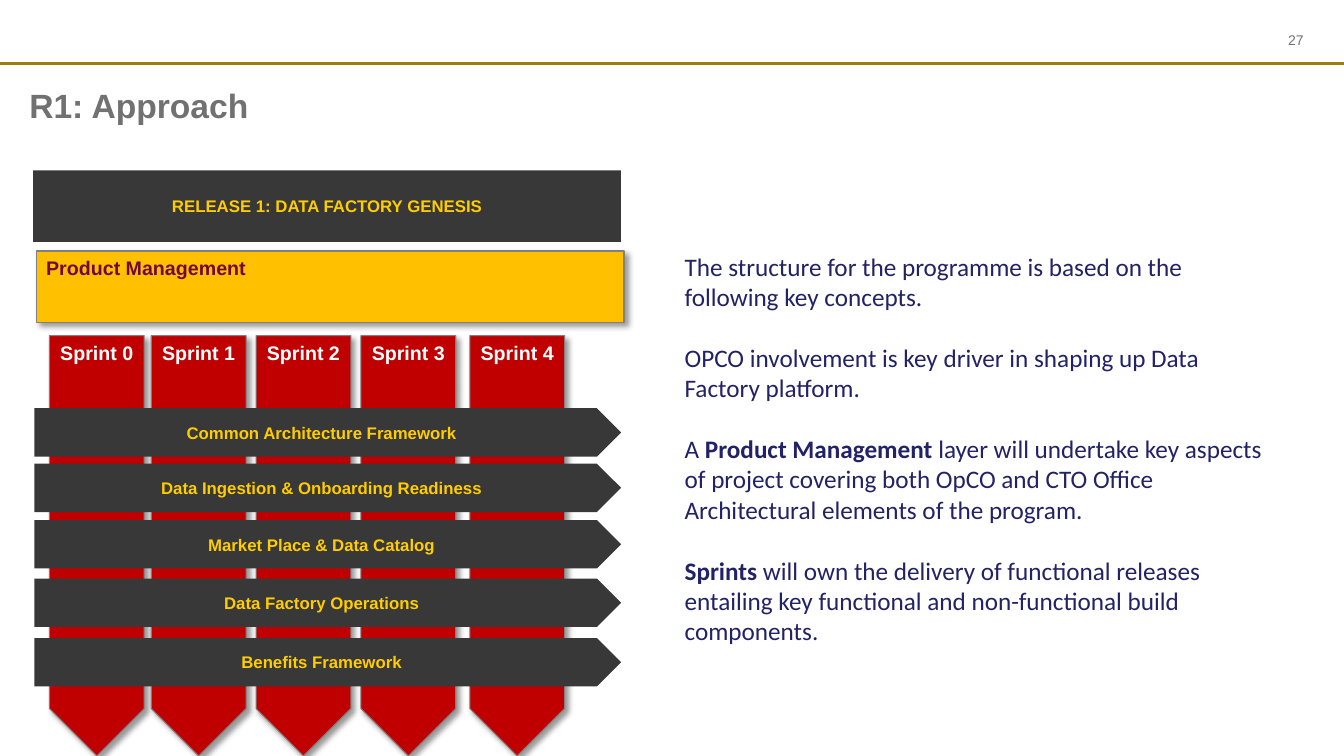
import pptx
import pptx.util
import pptx.oxml
import pptx.oxml.ns
import pptx.dml.color
import pptx.enum.shapes
import pptx.enum.text

Inches = pptx.util.Inches
Pt = pptx.util.Pt
Kind = pptx.enum.shapes.MSO_SHAPE
Align = pptx.enum.text.PP_ALIGN
Anchor = pptx.enum.text.MSO_ANCHOR

WIDE, HIGH = 13.33, 7.5
HUES = {"rule": "A17C0B", "grey": "717171", "dark": "383838", "gold": "FFCC00",
        "amber": "FFC000", "wine": "73073F", "red": "C00000", "edge": "808080",
        "white": "FFFFFF", "navy": "222267"}
SPRINTS = [("Sprint 0", 0.16), ("Sprint 1", 1.17), ("Sprint 2", 2.21),
           ("Sprint 3", 3.25), ("Sprint 4", 4.33)]
THEMES = [("Common Architecture Framework", 0),
          ("Data Ingestion & Onboarding Readiness", 0.55),
          ("Market Place & Data Catalog", 1.11),
          ("Data Factory Operations", 1.69),
          ("Benefits Framework", 2.28)]
NOTES = [
    [("The structure for the programme is based on the following key concepts.", False)],
    [("OPCO involvement is key driver in shaping up Data Factory platform.", False)],
    [("A ", False), ("Product Management ", True),
     ("layer will undertake key aspects of project covering both OpCO and CTO Office "
      "Architectural elements of the program.", False)],
    [("Sprints ", True),
     ("will own the delivery of functional releases entailing key functional and "
      "non-functional build components.", False)],
]
SHADE = ('<a:outerShdw %s blurRad="50800" dist="38100" dir="2700000" algn="tl" '
         'rotWithShape="0"><a:srgbClr val="000000"><a:alpha val="40000"/></a:srgbClr>'
         '</a:outerShdw>' % pptx.oxml.ns.nsdecls("a"))


def tint(name):
    return pptx.dml.color.RGBColor.from_string(HUES[name])


def style(run, size, hue, bold=False, face="Arial"):
    run.font.size = Pt(size)
    run.font.name = face
    run.font.bold = bold
    run.font.color.rgb = tint(hue)


def trim(frame):
    frame.word_wrap = True
    frame.margin_left = frame.margin_right = 0
    frame.margin_top = frame.margin_bottom = 0


def block(slide, kind, box, fill, text, size, hue, raised=False,
          align=Align.CENTER, anchor=Anchor.MIDDLE):
    shape = slide.shapes.add_shape(kind, *map(Inches, box))
    shape.fill.solid()
    shape.fill.fore_color.rgb = tint(fill)
    shape.shadow.inherit = False
    if raised:
        shape.line.color.rgb = tint("edge")
        shape.line.width = Pt(0.75)
        effects = shape._element.spPr.find(pptx.oxml.ns.qn("a:effectLst"))
        effects.append(pptx.oxml.parse_xml(SHADE))
    else:
        shape.line.fill.background()
    frame = shape.text_frame
    frame.word_wrap = True
    frame.vertical_anchor = anchor
    frame.text = text
    frame.paragraphs[0].alignment = align
    style(frame.paragraphs[0].runs[0], size, hue, True)
    return shape


def header(slide, box):
    left, top, width, height = box
    base = top + height
    rule = slide.shapes.add_connector(
        pptx.enum.shapes.MSO_CONNECTOR.STRAIGHT,
        Inches(left), Inches(base), Inches(left + width), Inches(base))
    rule.line.color.rgb = tint("rule")
    rule.line.width = Pt(1.5)
    rule._element.spPr.append(pptx.oxml.parse_xml(
        "<a:effectLst %s/>" % pptx.oxml.ns.nsdecls("a")))
    page = slide.shapes.add_textbox(
        Inches(left + width - 1.46), Inches(top + 0.29), Inches(1.06), Inches(0.22))
    frame = page.text_frame
    trim(frame)
    frame.vertical_anchor = Anchor.MIDDLE
    frame.text = "27"
    frame.paragraphs[0].alignment = Align.RIGHT
    style(frame.paragraphs[0].runs[0], 10, "grey")


def heading(slide, box):
    title = slide.shapes.title
    title.left, title.top, title.width, title.height = map(Inches, box)
    frame = title.text_frame
    trim(frame)
    frame.vertical_anchor = Anchor.TOP
    frame.text = "R1: Approach"
    frame.paragraphs[0].alignment = Align.LEFT
    style(frame.paragraphs[0].runs[0], 24, "grey", True)


def sprint(slide, box, text):
    left, top, width, height = box
    turned = (left + (width - height) / 2, top + (height - width) / 2, height, width)
    arrow = block(slide, Kind.PENTAGON, turned, "red", text, 14, "white", True,
                  anchor=Anchor.TOP)
    arrow.rotation = 90
    arrow.text_frame._txBody.bodyPr.set("vert", "vert270")


def plan(slide, box):
    left, top, width, height = box
    block(slide, Kind.RECTANGLE, (left, top, width, 0.71), "dark",
          "RELEASE 1: DATA FACTORY GENESIS", 12, "gold")
    block(slide, Kind.RECTANGLE, (left + 0.03, top + 0.8, width, 0.71), "amber",
          "Product Management", 14, "wine", True, Align.LEFT, Anchor.TOP)
    tall = 4.17
    for text, shift in SPRINTS:
        sprint(slide, (left + shift, top + height - tall, 0.94, tall), text)
    for text, drop in THEMES:
        block(slide, Kind.PENTAGON, (left + 0.01, top + 2.36 + drop, width - 0.01, 0.48),
              "dark", text, 12, "gold")


def notes(slide, box):
    frame = slide.shapes.add_textbox(*map(Inches, box)).text_frame
    trim(frame)
    for place, parts in enumerate(NOTES):
        para = frame.add_paragraph() if place else frame.paragraphs[0]
        para.space_before = Pt(22 if place else 0)
        for text, bold in parts:
            run = para.add_run()
            run.text = text
            style(run, 18, "navy", bold, "Calibri")


def main():
    deck = pptx.Presentation()
    deck.slide_width, deck.slide_height = Inches(WIDE), Inches(HIGH)
    slide = deck.slides.add_slide(deck.slide_layouts.get_by_name("Title Only"))
    header(slide, (0, 0, WIDE, 0.63))
    heading(slide, (0.29, 0.84, 8.27, 0.55))
    plan(slide, (0.33, 1.69, 5.83, HIGH - 1.69))
    notes(slide, (6.79, 2.49, 5.81, 4.54))
    deck.save("out.pptx")


if __name__ == "__main__":
    main()
